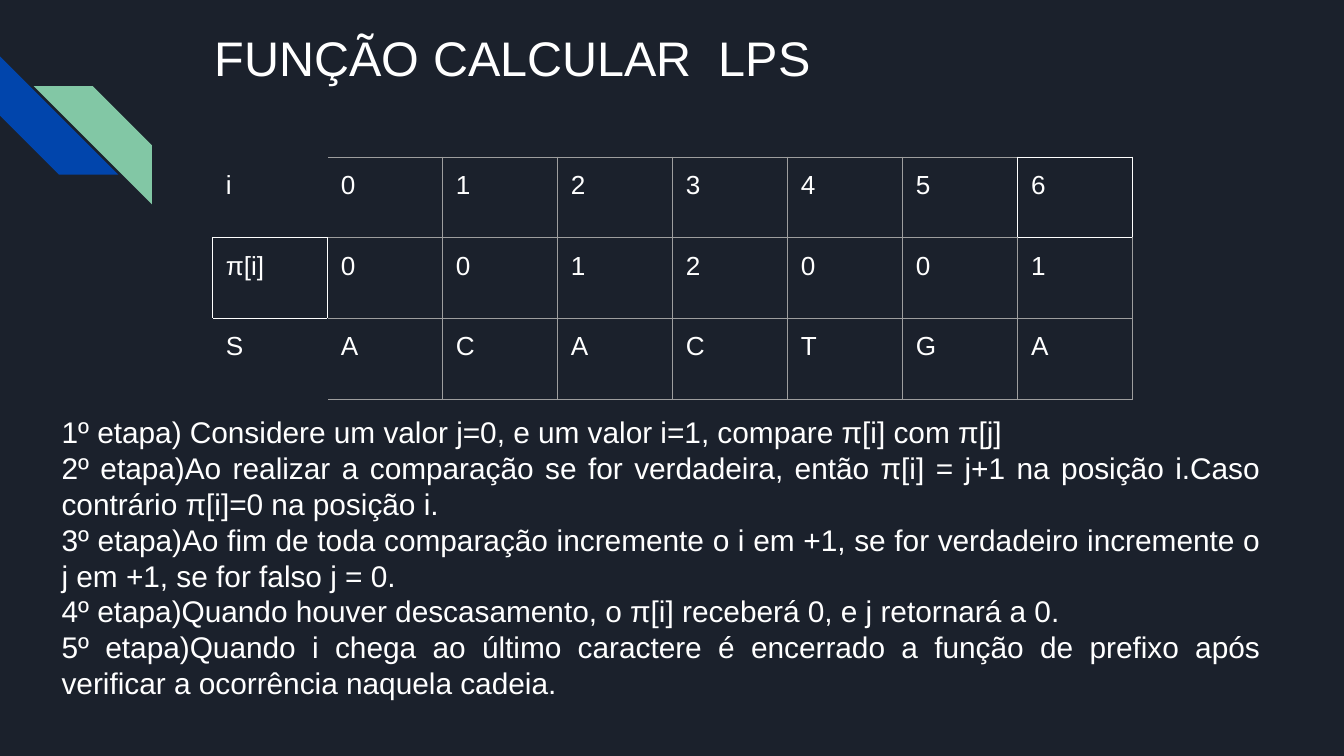
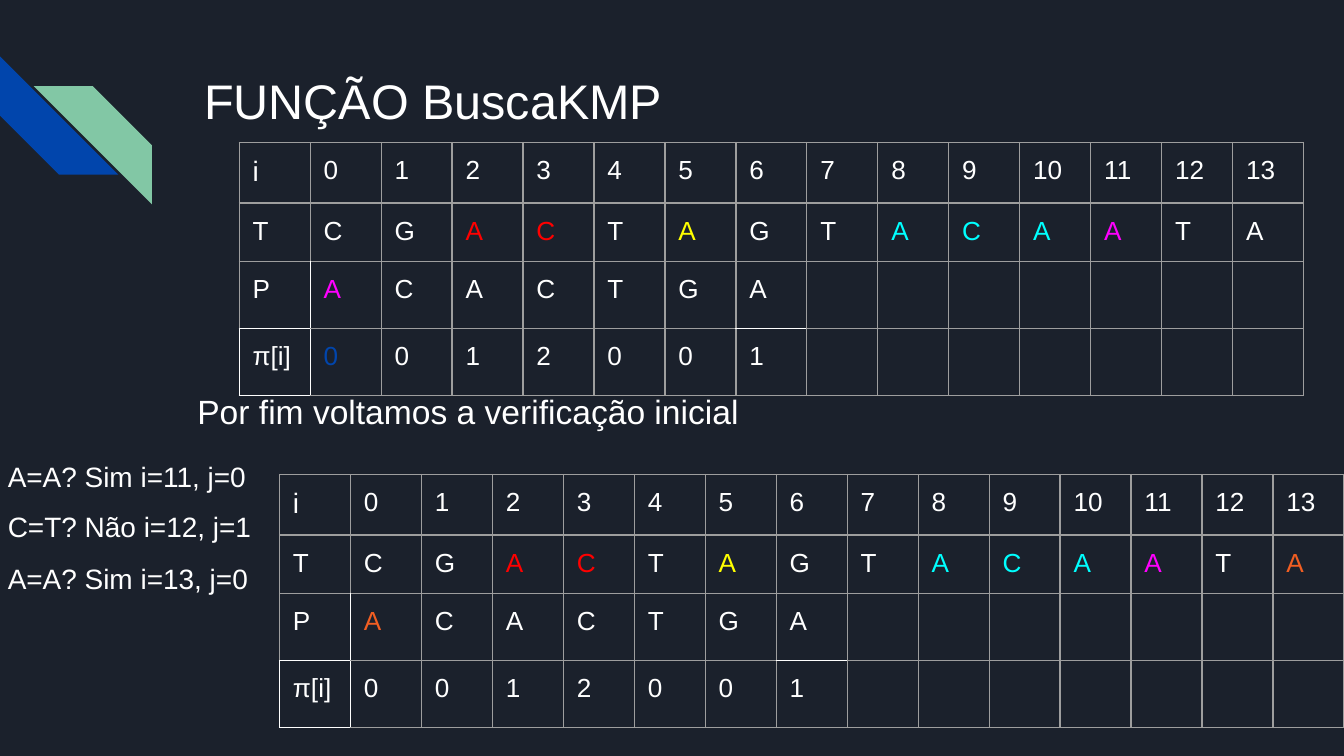
from lxml.etree import SubElement
from pptx import Presentation
from pptx.dml.color import RGBColor
from pptx.enum.shapes import MSO_SHAPE
from pptx.enum.text import PP_ALIGN
from pptx.oxml.ns import qn
from pptx.util import Inches, Pt

NAVY = RGBColor(0x1B, 0x21, 0x2C)
BLUE = RGBColor(0x01, 0x45, 0xAC)
GREEN = RGBColor(0x82, 0xC7, 0xA5)
WHITE = RGBColor(0xFF, 0xFF, 0xFF)
GRAY = RGBColor(0x9E, 0x9E, 0x9E)
RED = RGBColor(0xFF, 0x00, 0x00)
YELLOW = RGBColor(0xFF, 0xFF, 0x00)
CYAN = RGBColor(0x00, 0xFF, 0xFF)
MAGENTA = RGBColor(0xFF, 0x00, 0xFF)
ORANGE = RGBColor(0xF1, 0x5E, 0x22)

FONT = "Arial"
SIDES = {
    "L": (0, -1, "R"),
    "R": (0, 1, "L"),
    "T": (-1, 0, "B"),
    "B": (1, 0, "T"),
}

STEPS = [
    "1º etapa) Considere um valor j=0, e um valor i=1, compare π[i] com π[j]",
    "2º etapa)Ao realizar a comparação se for verdadeira, então π[i] = j+1 na "
    "posição i.Caso contrário π[i]=0 na posição i.",
    "3º etapa)Ao fim de toda comparação incremente o i em +1, se for verdadeiro "
    "incremente o j em +1, se for falso j = 0.",
    "4º etapa)Quando houver descasamento, o π[i] receberá 0, e j retornará a 0.",
    "5º etapa)Quando i chega ao último caractere é encerrado a função de prefixo "
    "após verificar a ocorrência naquela cadeia.",
]

PATTERN = list("ACACTGA")
PREFIXES = list("0012001")
LPS_ROWS = [
    ["i", *map(str, range(7))],
    ["π[i]", *PREFIXES],
    ["S", *PATTERN],
]
LPS_EDGES = [
    (0, 0, "LTR", NAVY),
    (2, 0, "LRB", NAVY),
    (1, 0, "LTRB", WHITE),
    (0, 7, "LTRB", WHITE),
]

SEARCH_ROWS = [
    ["i", *map(str, range(14))],
    ["T", *"CGACTAGTACAATA"],
    ["P", *PATTERN],
    ["π[i]", *PREFIXES],
]
SEARCH_EDGES = [
    (3, 0, "LTRB", WHITE),
    (2, 0, "R", WHITE),
    (2, 7, "B", WHITE),
]
MATCHES = {
    (1, 3): RED, (1, 4): RED,
    (1, 6): YELLOW,
    (1, 9): CYAN, (1, 10): CYAN, (1, 11): CYAN,
    (1, 12): MAGENTA,
}


def write(frame, text, size=14, color=WHITE, align=PP_ALIGN.LEFT):
    for index, line in enumerate(text.split("\n")):
        paragraph = frame.paragraphs[0] if index == 0 else frame.add_paragraph()
        paragraph.alignment = align
        run = paragraph.add_run()
        run.text = line
        run.font.name = FONT
        run.font.size = Pt(size)
        run.font.color.rgb = color


def set_margins(holder):
    holder.margin_left = holder.margin_right = Inches(0.1)
    holder.margin_top = holder.margin_bottom = Inches(0.1)


def add_text(slide, left, top, width, height, text, **text_format):
    frame = slide.shapes.add_textbox(
        Inches(left), Inches(top), Inches(width), Inches(height)).text_frame
    frame.word_wrap = True
    set_margins(frame)
    write(frame, text, **text_format)


def add_stripe(slide, left, top, color):
    stripe = slide.shapes.add_shape(
        MSO_SHAPE.DIAGONAL_STRIPE,
        Inches(left), Inches(top), Inches(0.88), Inches(0.88))
    stripe.shadow.inherit = False
    stripe.fill.solid()
    stripe.fill.fore_color.rgb = color
    stripe.line.fill.background()
    return stripe


def add_slide(deck, title, left, top):
    slide = deck.slides.add_slide(deck.slide_layouts[6])
    slide.background.fill.solid()
    slide.background.fill.fore_color.rgb = NAVY
    add_stripe(slide, 0, 0.42, BLUE).rotation = 270
    green_stripe = add_stripe(slide, 0.25, 0.64, GREEN)
    green_stripe._element.spPr.find(qn("a:xfrm")).set("flipH", "1")
    add_text(slide, left, top, 7.7, 1, title, size=26)
    return slide


def draw_borders(cell, colors):
    properties = cell._tc.get_or_add_tcPr()
    for index, side in enumerate(SIDES):
        line = SubElement(properties, qn(f"a:ln{side}"), w=str(Pt(0.75)))
        fill = SubElement(line, qn("a:solidFill"))
        SubElement(fill, qn("a:srgbClr"), val=str(colors.get(side, GRAY)))
        properties.insert(index, line)


def collect_edges(edges):
    borders = {}
    for row, column, sides, color in edges:
        for side in sides:
            down, across, opposite = SIDES[side]
            borders.setdefault((row, column), {})[side] = color
            neighbour = (row + down, column + across)
            borders.setdefault(neighbour, {})[opposite] = color
    return borders


def add_grid(slide, left, top, width, row_height, rows, edges, colors=None, sizes=None):
    columns = len(rows[0])
    colors, sizes = colors or {}, sizes or {}
    table = slide.shapes.add_table(
        len(rows), columns, Inches(left), Inches(top),
        Inches(width), Inches(row_height * len(rows))).table
    table.first_row = table.horz_banding = False
    for column in table.columns:
        column.width = int(Inches(width) / columns)
    borders = collect_edges(edges)
    for r, values in enumerate(rows):
        table.rows[r].height = Inches(row_height)
        for c in range(columns):
            cell = table.cell(r, c)
            set_margins(cell)
            cell.fill.background()
            draw_borders(cell, borders.get((r, c), {}))
            if c < len(values):
                write(cell.text_frame, values[c],
                      size=sizes.get((r, c), 14),
                      color=colors.get((r, c), WHITE))


def add_search_grid(slide, left, top, highlights):
    add_grid(slide, left, top, 7.92, 0.42, SEARCH_ROWS, SEARCH_EDGES,
             colors={**MATCHES, **highlights}, sizes={(0, 0): 15})


def build_lps(deck):
    slide = add_slide(deck, "FUNÇÃO CALCULAR  LPS", 1.5, 0.11)
    add_grid(slide, 1.58, 1.17, 6.85, 0.6, LPS_ROWS, LPS_EDGES)
    add_text(slide, 0.36, 2.98, 9.12, 2.38, "\n".join(STEPS),
             size=16, align=PP_ALIGN.JUSTIFY)


def build_search(deck):
    slide = add_slide(deck, "FUNÇÃO BuscaKMP", 1.42, 0.43)
    add_text(slide, 1.37, 2.81, 8.58, 0.37,
             "Por fim voltamos a verificação inicial", size=18)
    add_search_grid(slide, 1.78, 1.06, {(2, 1): MAGENTA, (3, 1): BLUE})
    comparisons = [
        (3.32, "A=A? Sim i=11, j=0"),
        (3.69, "C=T? Não i=12, j=1"),
        (4.08, "A=A? Sim i=13, j=0"),
    ]
    for top, comparison in comparisons:
        add_text(slide, -0.04, top, 2.1, 0.47, comparison, size=15)
    add_search_grid(slide, 2.08, 3.53, {(1, 14): ORANGE, (2, 1): ORANGE})


def main():
    deck = Presentation()
    deck.slide_width = Inches(10)
    deck.slide_height = deck.slide_width * 9 // 16
    build_lps(deck)
    build_search(deck)
    deck.save("out.pptx")


if __name__ == "__main__":
    main()
